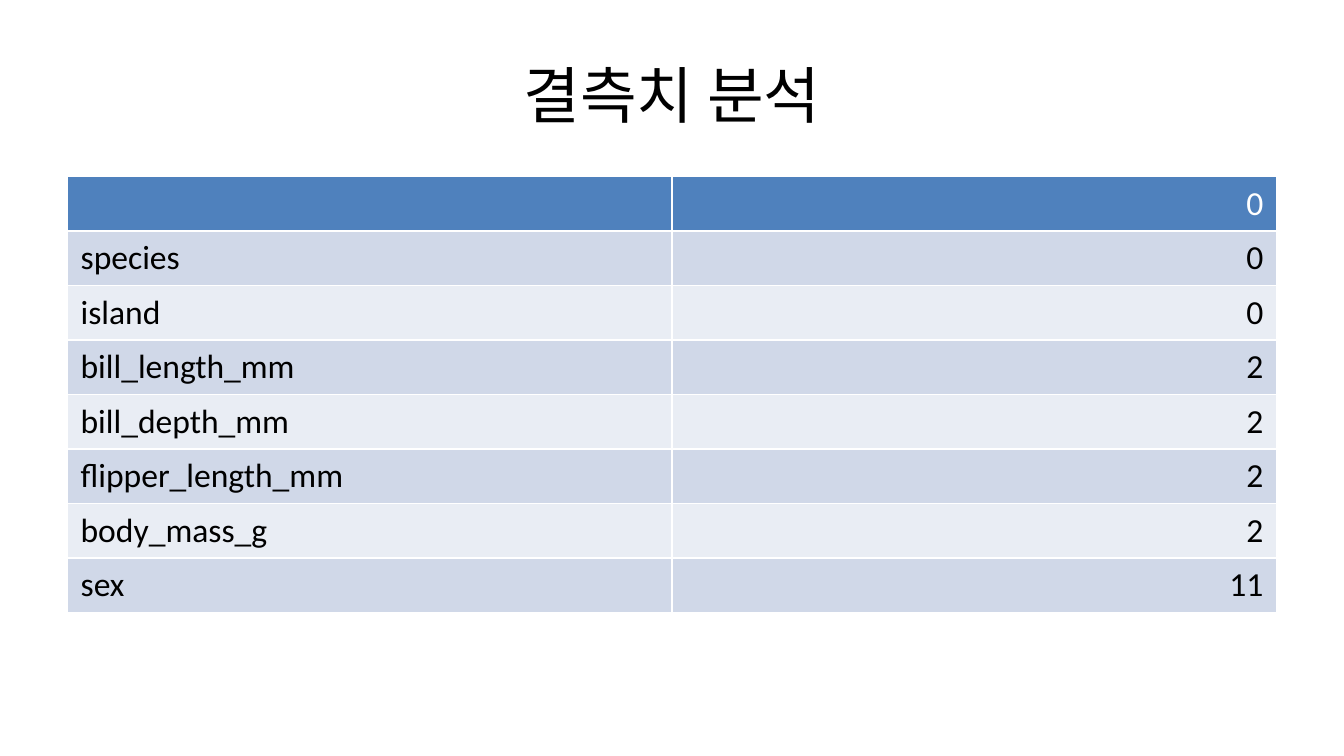
from typing import NamedTuple

from pptx import Presentation
from pptx.dml.color import RGBColor
from pptx.enum import text
from pptx.util import Cm, Pt

FONT = "Calibri"
BLACK, WHITE = "000000", "FFFFFF"
HEADER_FILL = "4F81BD"
BAND_FILLS = ("D0D8E8", "E9EDF4")
LEFT, WIDTH = Cm(1.27), Cm(22.86)
ROW_HEIGHT = Cm(1.03)


class MissingCount(NamedTuple):
    column: str
    count: str


HEADER = MissingCount("", "0")
COUNTS = [
    MissingCount("species", "0"),
    MissingCount("island", "0"),
    MissingCount("bill_length_mm", "2"),
    MissingCount("bill_depth_mm", "2"),
    MissingCount("flipper_length_mm", "2"),
    MissingCount("body_mass_g", "2"),
    MissingCount("sex", "11"),
]


def rgb(color: str) -> RGBColor:
    return RGBColor.from_string(color)


def add_run(p, words: str, size: float, color: str) -> None:
    r = p.add_run()
    r.text = words
    r.font.name = FONT
    r.font.size = Pt(size)
    r.font.bold = False
    r.font.color.rgb = rgb(color)


def fill_row(cells, row: MissingCount, fill: str, color: str) -> None:
    aligns = (text.PP_ALIGN.LEFT, text.PP_ALIGN.RIGHT)
    for cell, words, align in zip(cells, row, aligns):
        cell.fill.solid()
        cell.fill.fore_color.rgb = rgb(fill)
        p = cell.text_frame.paragraphs[0]
        p.alignment = align
        if words:
            add_run(p, words, 18, color)


def add_title(slide, words: str) -> None:
    sp = slide.shapes.title
    sp.left, sp.top, sp.width, sp.height = LEFT, Cm(0.58), WIDTH, Cm(2.39)
    tf = sp.text_frame
    tf.vertical_anchor = text.MSO_ANCHOR.MIDDLE
    p = tf.paragraphs[0]
    p.alignment = text.PP_ALIGN.CENTER
    add_run(p, words, 33, BLACK)


def add_count_table(slide) -> None:
    """The default table style supplies the white cell borders."""
    n = len(COUNTS) + 1
    table = slide.shapes.add_table(
        n, 2, LEFT, Cm(3.33), WIDTH, ROW_HEIGHT * n).table
    fill_row(table.rows[0].cells, HEADER, HEADER_FILL, WHITE)
    for i, row in enumerate(COUNTS):
        fill_row(table.rows[i + 1].cells, row, BAND_FILLS[i % 2], BLACK)


def main() -> None:
    prs = Presentation()
    prs.slide_width, prs.slide_height = Cm(25.4), Cm(14.28)
    slide = prs.slides.add_slide(prs.slide_layouts[5])
    add_title(slide, "결측치 분석")
    add_count_table(slide)
    prs.save("out.pptx")


if __name__ == "__main__":
    main()
